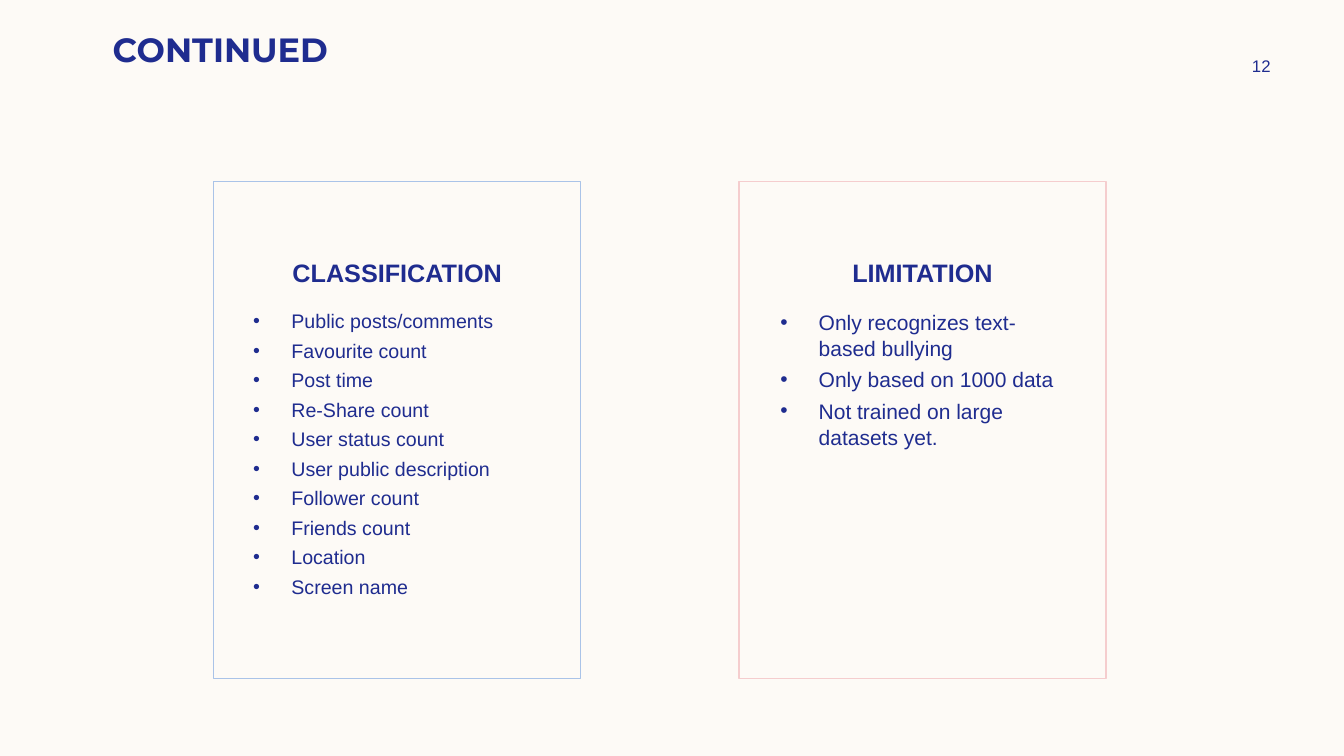
from dataclasses import dataclass

from lxml.etree import SubElement
from pptx import Presentation
from pptx.dml.color import RGBColor
from pptx.enum.text import MSO_ANCHOR, MSO_AUTO_SIZE, PP_ALIGN
from pptx.oxml.ns import qn
from pptx.util import Inches, Pt

COLORS = {"paper": "FDFAF6", "navy": "1F2C8F", "blue": "AAC3E8", "pink": "F5CDCE"}
BULLET_INDENT = Inches(0.38)


@dataclass
class Card:
    heading: str
    items: list[str]
    left: float
    list_left: float
    border: str
    size: int
    heading_idx: int
    list_idx: int


CARDS = [
    Card("CLASSIFICATION",
         ["Public posts/comments", "Favourite count", "Post time", "Re-Share count",
          "User status count", "User public description", "Follower count",
          "Friends count", "Location", "Screen name"],
         2.12, 2.41, "blue", 14, 1, 2),
    Card("LIMITATION",
         ["Only recognizes text-based bullying", "Only based on 1000 data",
          "Not trained on large datasets yet."],
         7.33, 7.64, "pink", 15, 3, 4),
]


def rgb(name: str) -> RGBColor:
    return RGBColor.from_string(COLORS[name])


def place(sp, left: float, top: float, width: float, height: float) -> None:
    sp.left, sp.top = Inches(left), Inches(top)
    sp.width, sp.height = Inches(width), Inches(height)


def add_bullet(p) -> None:
    pPr = p._p.get_or_add_pPr()
    pPr.set("marL", str(BULLET_INDENT))
    pPr.set("indent", str(-BULLET_INDENT))
    SubElement(pPr, qn("a:buFont"), typeface="Arial")
    SubElement(pPr, qn("a:buChar"), char="•")


def write(sp, lines: list[str], *, size: float, font: str = "Arial",
          bold: bool = False, align=PP_ALIGN.CENTER, anchor=MSO_ANCHOR.TOP,
          top_inset: float = 0.05, bullets: bool = False,
          before: float = 0, spacing: float = 1.0) -> None:
    tf = sp.text_frame
    tf.word_wrap = True
    tf.auto_size = MSO_AUTO_SIZE.NONE
    tf.vertical_anchor = anchor
    tf.margin_left = tf.margin_right = Inches(0.1)
    tf.margin_top, tf.margin_bottom = Inches(top_inset), Inches(0.05)
    for i, line in enumerate(lines):
        p = tf.add_paragraph() if i else tf.paragraphs[0]
        if bullets:
            add_bullet(p)
        p.alignment = align
        p.line_spacing = spacing
        p.space_before = Pt(before if i else 0)
        p.space_after = Pt(0)
        r = p.add_run()
        r.text = line
        r.font.name, r.font.size, r.font.bold = font, Pt(size), bold
        r.font.color.rgb = rgb("navy")


def draw_card(s, card: Card) -> None:
    # Outlined heading frame
    sp = s.placeholders[card.heading_idx]
    place(sp, card.left, 1.8, 3.64, 4.93)
    sp.line.color.rgb = rgb(card.border)
    sp.line.width = Pt(1)
    write(sp, [card.heading], size=18, bold=True, top_inset=0.75)

    # Bulleted list
    sp = s.placeholders[card.list_idx]
    place(sp, card.list_left, 3.01, 3.03, 2.41)
    write(sp, card.items, size=card.size, align=PP_ALIGN.LEFT,
          bullets=True, before=3.6, spacing=1.04)


def main() -> None:
    prs = Presentation()
    prs.slide_width, prs.slide_height = Inches(13.33), Inches(7.5)
    s = prs.slides.add_slide(prs.slide_layouts.get_by_name("Comparison"))
    s.background.fill.solid()
    s.background.fill.fore_color.rgb = rgb("paper")

    # Title
    title = s.shapes.title
    place(title, 0.51, 0.24, 3.35, 0.3)
    write(title, ["CONTINUED"], size=24, font="Montserrat", bold=True)

    # Page number
    number = s.shapes.add_textbox(Inches(11.97), Inches(0.5), Inches(1.08), Inches(0.3))
    write(number, ["12"], size=12, anchor=MSO_ANCHOR.MIDDLE)

    # Cards
    for card in CARDS:
        draw_card(s, card)

    prs.save("out.pptx")


if __name__ == "__main__":
    main()
